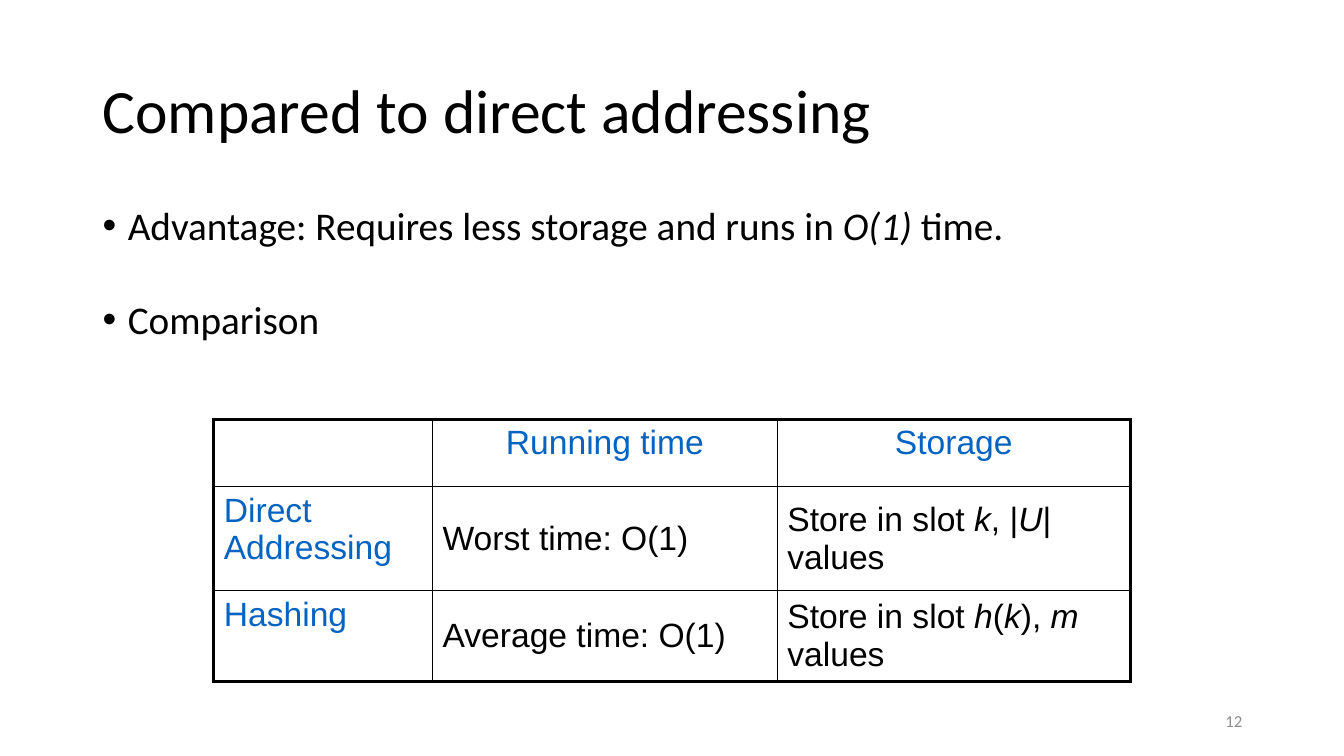
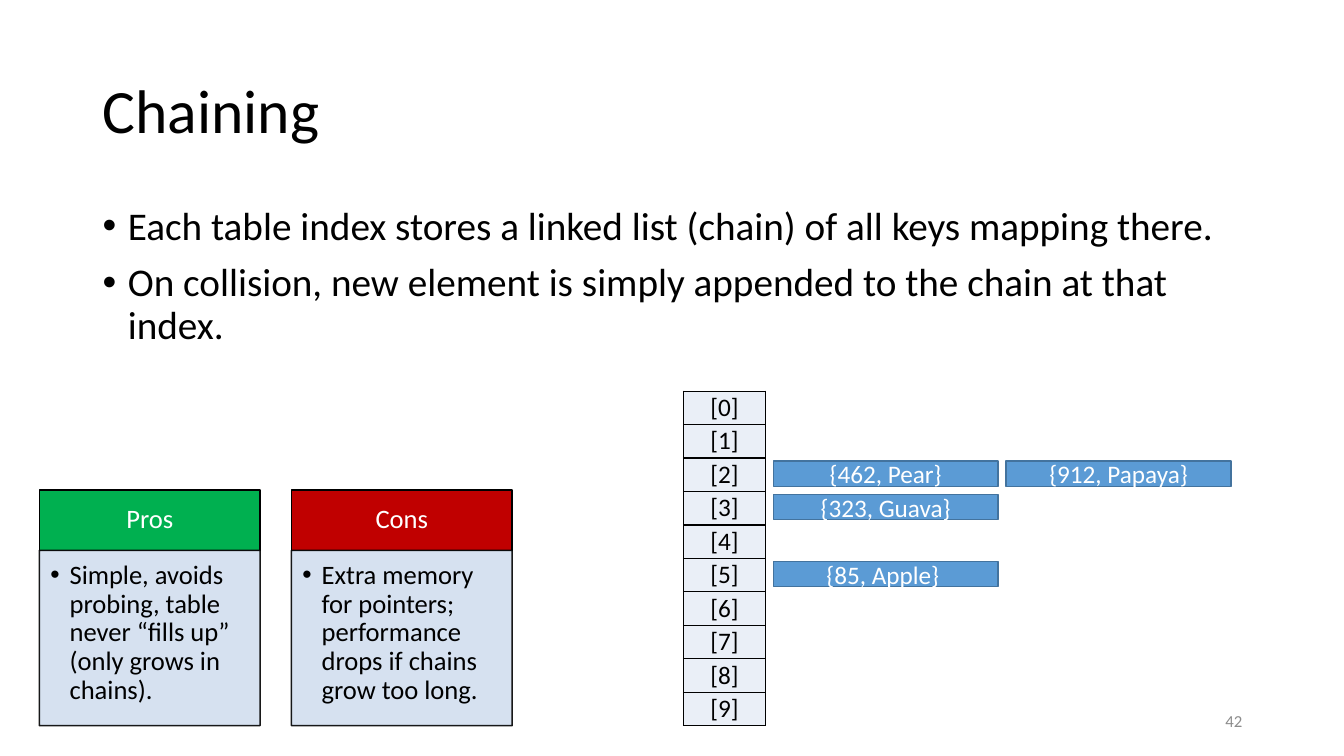
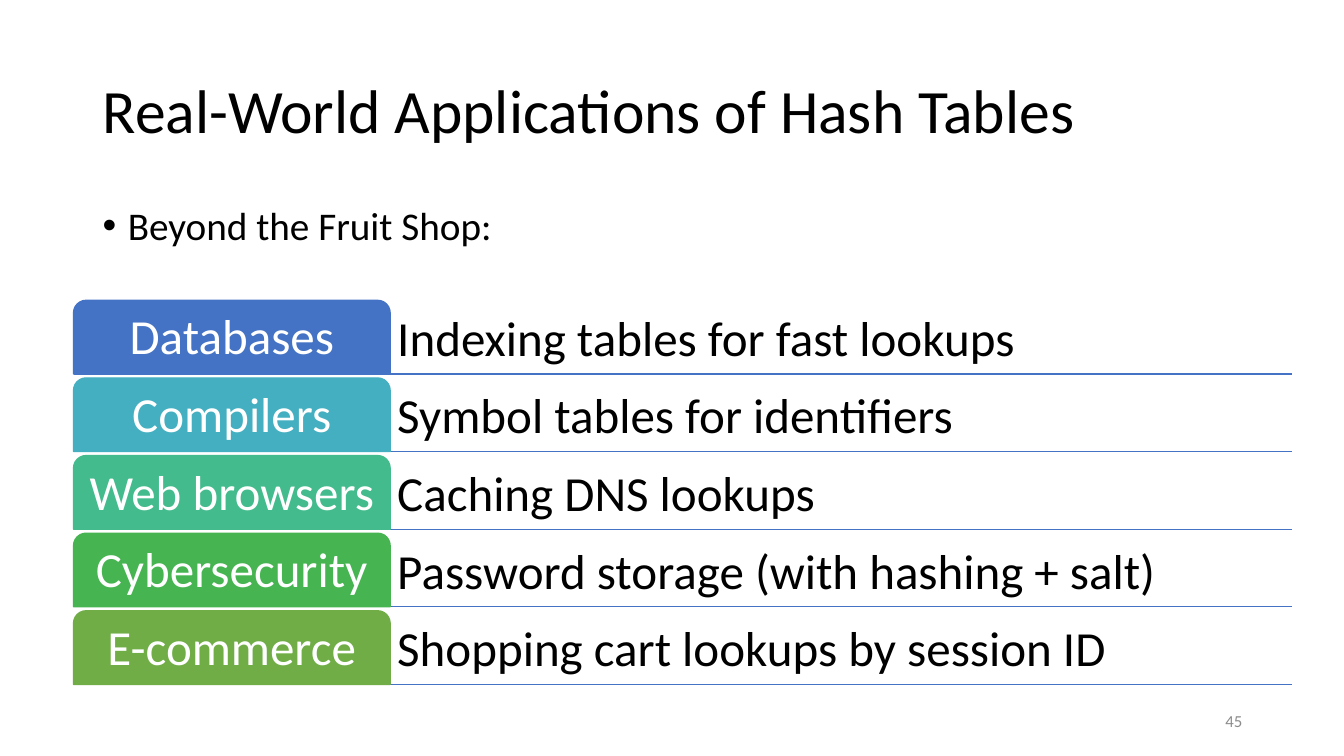
from dataclasses import dataclass

from lxml import etree
from pptx import Presentation
from pptx import util as u
from pptx.dml.color import RGBColor
from pptx.enum import shapes, text
from pptx.oxml.ns import qn


@dataclass(frozen=True)
class Theme:
    body_font: str = "Calibri"
    table_font: str = "Arial"
    black: str = "000000"
    white: str = "FFFFFF"
    grey: str = "8C8C8C"
    heading: str = "0563C1"
    pros: str = "00B050"
    cons: str = "C00000"
    panel: str = "D2DEEF"
    slot: str = "EAEFF7"
    node: str = "5B9BD5"
    node_line: str = "43739E"
    rule: str = "4472C4"
    title_size: int = 44
    tab_size: int = 35
    body_size: int = 28
    table_size: int = 24
    panel_size: int = 19
    slot_size: int = 18
    number_size: int = 12


THEME = Theme()
LEFT, CENTER, RIGHT = text.PP_ALIGN.LEFT, text.PP_ALIGN.CENTER, text.PP_ALIGN.RIGHT
TOP, MIDDLE, BOTTOM = text.MSO_ANCHOR.TOP, text.MSO_ANCHOR.MIDDLE, text.MSO_ANCHOR.BOTTOM


# ---- Text ----
def add_runs(paragraph, words, size, color=THEME.black, font=THEME.body_font, align=LEFT):
    """Add runs to a paragraph; words between asterisks are italic."""
    paragraph.alignment = align
    for index, part in enumerate(words.split("*")):
        if part:
            run = paragraph.add_run()
            run.text = part
            run.font.name = font
            run.font.size = u.Pt(size)
            run.font.italic = index % 2 == 1
            run.font.color.rgb = RGBColor.from_string(color)


def add_bullet(paragraph, indent):
    properties = paragraph._p.get_or_add_pPr()
    properties.set("marL", str(u.Inches(indent)))
    properties.set("indent", str(-u.Inches(indent)))
    etree.SubElement(properties, qn("a:buFont")).set("typeface", "Arial")
    etree.SubElement(properties, qn("a:buChar")).set("char", "•")


def set_frame(shape, anchor=TOP, insets=(0.1, 0.05, 0.1, 0.05)):
    frame = shape.text_frame
    frame.word_wrap = True
    frame.vertical_anchor = anchor
    (frame.margin_left, frame.margin_top,
     frame.margin_right, frame.margin_bottom) = map(u.Inches, insets)
    return frame


def add_text(slide, box, words, size, color=THEME.black, align=LEFT, anchor=MIDDLE,
             spacing=0.9, insets=(0.1, 0.05, 0.1, 0.05)):
    shape = slide.shapes.add_textbox(*map(u.Inches, box))
    paragraph = set_frame(shape, anchor, insets).paragraphs[0]
    paragraph.line_spacing = spacing
    add_runs(paragraph, words, size, color, align=align)


# ---- Shapes ----
def set_alpha(color_format_parent, percent):
    for color in color_format_parent.iter(qn("a:srgbClr")):
        etree.SubElement(color, qn("a:alpha")).set("val", str(percent * 1000))


def add_block(slide, box, fill, line, kind=shapes.MSO_SHAPE.RECTANGLE):
    shape = slide.shapes.add_shape(kind, *map(u.Inches, box))
    shape.shadow.inherit = False
    shape.fill.solid()
    shape.fill.fore_color.rgb = RGBColor.from_string(fill)
    shape.line.color.rgb = RGBColor.from_string(line)
    shape.line.width = u.Pt(1)
    return shape


def add_rule(slide, left, right, y):
    line = slide.shapes.add_connector(
        shapes.MSO_CONNECTOR.STRAIGHT, *map(u.Inches, (left, y, right, y)))
    line.line.color.rgb = RGBColor.from_string(THEME.rule)
    line.line.width = u.Pt(1)
    etree.SubElement(line._element.spPr, qn("a:effectLst"))


# ---- Tables ----
def add_plain_table(slide, box, widths, heights):
    frame = slide.shapes.add_table(len(heights), len(widths), *map(u.Inches, box))
    table = frame.table
    table.first_row = table.horz_banding = False
    for column, width in zip(table.columns, widths):
        column.width = u.Inches(width)
    for row, height in zip(table.rows, heights):
        row.height = u.Inches(height)
    return table


def style_cell(cell, edges, fill=None):
    """Edges are the left, right, top and bottom widths in points."""
    properties = cell._tc.get_or_add_tcPr()
    for side, width in zip("LRTB", edges):
        line = etree.SubElement(properties, qn("a:ln" + side))
        line.set("w", str(u.Pt(width)))
        solid = etree.SubElement(line, qn("a:solidFill"))
        etree.SubElement(solid, qn("a:srgbClr")).set("val", THEME.black)
    if fill:
        cell.fill.solid()
        cell.fill.fore_color.rgb = RGBColor.from_string(fill)
    else:
        cell.fill.background()


# ---- Shared slide parts ----
def add_base(presentation, title, bullets, number):
    """Start a slide; bullets are (words, space before in points)."""
    slide = presentation.slides.add_slide(presentation.slide_layouts[6])
    add_text(slide, (0.92, 0.4, 11.5, 1.45), title, THEME.title_size)

    body = slide.shapes.add_textbox(*map(u.Inches, (0.92, 2, 11.5, 4.76)))
    frame = set_frame(body)
    for index, (words, space) in enumerate(bullets):
        paragraph = frame.add_paragraph() if index else frame.paragraphs[0]
        paragraph.line_spacing = 0.9
        paragraph.space_before = u.Pt(space)
        add_runs(paragraph, words, THEME.body_size)
        add_bullet(paragraph, 0.25)

    add_text(slide, (9.42, 6.95, 3, 0.4), str(number), THEME.number_size,
             THEME.grey, RIGHT, spacing=1)
    return slide


# ---- Comparison table ----
def add_comparison(slide, left, top):
    rows = [
        ("", "Running time", "Storage"),
        ("Direct Addressing", "Worst time: O(1)", "Store in slot *k*, |*U*| values"),
        ("Hashing", "Average time: O(1)", "Store in slot *h*(*k*), *m* values"),
    ]
    widths, heights = (2.17, 3.42, 3.5), (0.67, 1.03, 0.9)
    table = add_plain_table(slide, (left, top, sum(widths), sum(heights)), widths, heights)
    last_row, last_column = len(heights) - 1, len(widths) - 1
    for r, row in enumerate(rows):
        for c, words in enumerate(row):
            cell = table.cell(r, c)
            outer = (c == 0, c == last_column, r == 0, r == last_row)
            style_cell(cell, [2.25 if edge else 1 for edge in outer])
            heading = r == 0 or c == 0
            cell.vertical_anchor = TOP if heading else MIDDLE
            add_runs(cell.text_frame.paragraphs[0], words, THEME.table_size,
                     THEME.heading if heading else THEME.black,
                     THEME.table_font, CENTER if r == 0 else LEFT)


# ---- Pros and cons card ----
def add_card(slide, left, top, heading, words, color):
    width, head_height, panel_height = 2.19, 0.6, 1.74
    head = add_block(slide, (left, top, width, head_height), color, THEME.black)
    paragraph = set_frame(head, MIDDLE, (0.15, 0.08, 0.15, 0.08)).paragraphs[0]
    paragraph.line_spacing = 0.9
    add_runs(paragraph, heading, THEME.panel_size, THEME.white, align=CENTER)

    panel = add_block(slide, (left, top + head_height, width, panel_height),
                      THEME.panel, THEME.black)
    set_alpha(panel._element.spPr, 90)
    paragraph = set_frame(panel, TOP, (0.11, 0.11, 0.15, 0.17)).paragraphs[0]
    paragraph.line_spacing = 0.9
    add_runs(paragraph, words, THEME.panel_size)
    add_bullet(paragraph, 0.19)


# ---- Hash table with chains ----
def add_chains(slide, left, top, slots, chains):
    width, height = 0.81, 3.32
    row_height = height / slots
    table = add_plain_table(slide, (left, top, width, height), [width], [row_height] * slots)
    for index in range(slots):
        cell = table.cell(index, 0)
        style_cell(cell, [1] * 4, THEME.slot)
        cell.margin_left = cell.margin_right = cell.margin_top = cell.margin_bottom = 0
        cell.vertical_anchor = MIDDLE
        add_runs(cell.text_frame.paragraphs[0], f"[{index}]", THEME.slot_size, align=CENTER)

    node_width, node_height, gap = 2.23, 0.25, 0.08
    for index, entries in chains.items():
        for position, entry in enumerate(entries):
            x = left + width + gap + position * (node_width + gap)
            y = top + index * row_height + 0.03
            node = add_block(slide, (x, y, node_width, node_height),
                             THEME.node, THEME.node_line)
            frame = set_frame(node, MIDDLE, (0.1, 0, 0.1, 0))
            add_runs(frame.paragraphs[0], entry, THEME.slot_size, THEME.white, align=CENTER)


# ---- Tabbed list of applications ----
def add_application(slide, left, top, label, words, color):
    tab_width, text_width, height = 3.14, 8.94, 0.73
    insets = (0.07,) * 4
    add_rule(slide, left, left + tab_width + text_width, top + height)
    add_text(slide, (left + tab_width, top, text_width, height), words,
             THEME.tab_size, anchor=BOTTOM, insets=insets)
    tab = add_block(slide, (left, top, tab_width, height), color, color,
                    shapes.MSO_SHAPE.ROUND_2_SAME_RECTANGLE)
    tab.adjustments[0] = 0.17
    paragraph = set_frame(tab, MIDDLE, insets).paragraphs[0]
    paragraph.line_spacing = 0.9
    add_runs(paragraph, label, THEME.tab_size, THEME.white, align=CENTER)


# ---- Slides ----
def comparison_slide(presentation):
    slide = add_base(presentation, "Compared to direct addressing", [
        ("Advantage: Requires less storage and runs in *O(1)* time.", 10),
        ("Comparison", 37),
    ], 12)
    add_comparison(slide, 2.12, 4.16)


def chaining_slide(presentation):
    slide = add_base(presentation, "Chaining", [
        ("Each table index stores a linked list (chain) of all keys mapping there.", 10),
        ("On collision, new element is simply appended to the chain at that index.", 10),
    ], 42)
    cards = [
        ("Pros", "Simple, avoids probing, table never “fills up” (only grows in chains).",
         THEME.pros),
        ("Cons", "Extra memory for pointers; performance drops if chains grow too long.",
         THEME.cons),
    ]
    for index, card in enumerate(cards):
        add_card(slide, 0.39 + index * 2.5, 4.86, *card)
    add_chains(slide, 6.78, 3.88, 10, {
        2: ["{462, Pear}", "{912, Papaya}"],
        3: ["{323, Guava}"],
        5: ["{85, Apple} "],
    })


def applications_slide(presentation):
    slide = add_base(presentation, "Real-World Applications of Hash Tables",
                     [("Beyond the Fruit Shop:", 10)], 45)
    applications = [
        ("Databases", "Indexing tables for fast lookups", "4472C4"),
        ("Compilers", "Symbol tables for identifiers", "43AFC0"),
        ("Web browsers", "Caching DNS lookups", "43BB8D"),
        ("Cybersecurity", "Password storage (with hashing + salt)", "45B451"),
        ("E-commerce", "Shopping cart lookups by session ID", "70AD47"),
    ]
    for index, application in enumerate(applications):
        add_application(slide, 0.73, 2.98 + index * 0.77, *application)


def main():
    presentation = Presentation()
    presentation.slide_width = u.Inches(13.33)
    presentation.slide_height = u.Inches(7.5)
    comparison_slide(presentation)
    chaining_slide(presentation)
    applications_slide(presentation)
    presentation.save("out.pptx")


if __name__ == "__main__":
    main()
